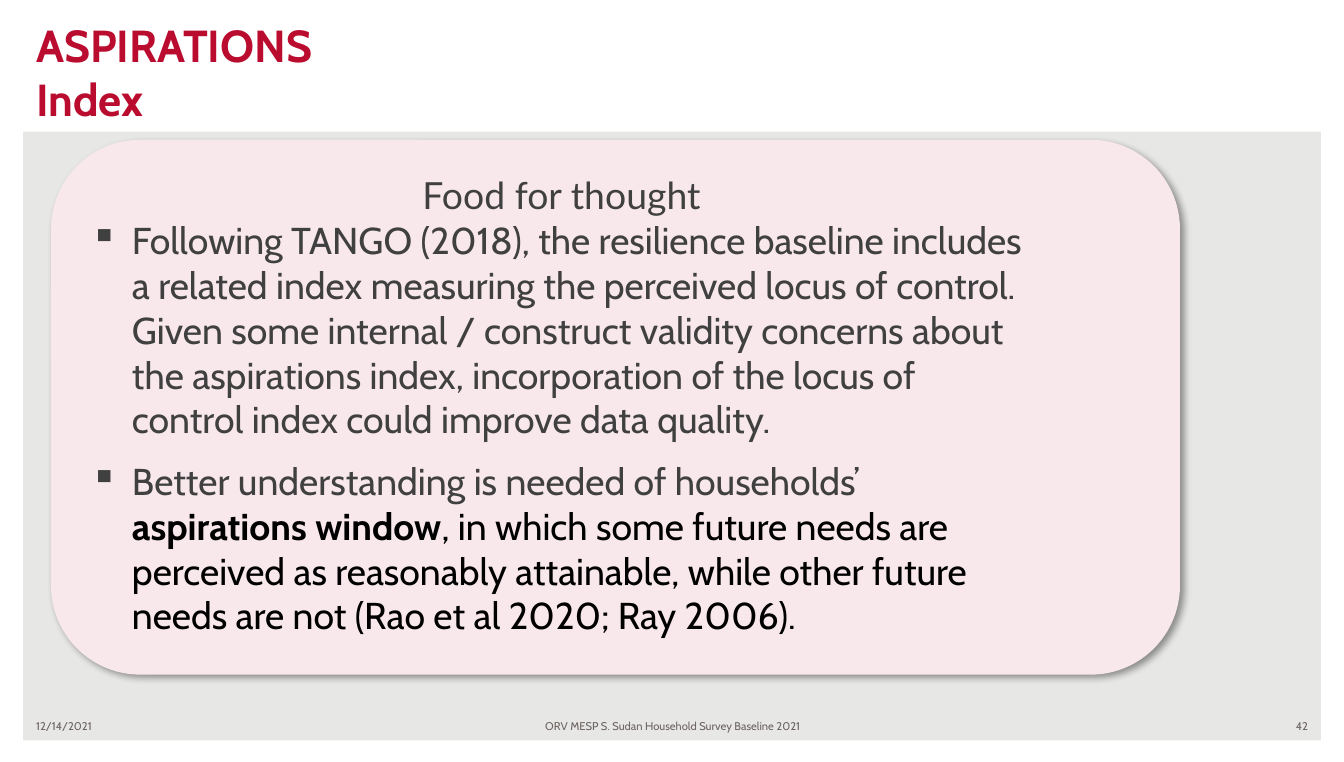
from lxml import etree
from pptx import Presentation
from pptx.dml.color import RGBColor
from pptx.enum.shapes import MSO_SHAPE as Shape
from pptx.enum.text import MSO_ANCHOR as Anchor, PP_ALIGN as Align
from pptx.oxml import parse_xml
from pptx.oxml.ns import nsdecls, qn
from pptx.util import Inches, Pt

WHITE = RGBColor(0xFF, 0xFF, 0xFF)
BLACK = RGBColor(0x00, 0x00, 0x00)
GRAY = RGBColor(0xE7, 0xE7, 0xE5)
FOOTER_GRAY = RGBColor(0x6C, 0x64, 0x63)
TEXT_GRAY = RGBColor(0x40, 0x40, 0x40)
RED = RGBColor(0xBA, 0x0C, 0x2F)
PINK = RGBColor(0xF8, 0xE8, 0xEC)


def style_font(font, name, size, color, bold=False):
    font.name = name
    font.size = Pt(size)
    font.color.rgb = color
    font.bold = bold


def add_text(left, top, width, height, text, anchor, align):
    box = slide.shapes.add_textbox(Inches(left), Inches(top), Inches(width), Inches(height))
    box.text_frame.word_wrap = True
    box.text_frame.vertical_anchor = anchor
    box.text_frame.text = text
    box.text_frame.paragraphs[0].alignment = align
    return box


presentation = Presentation()
presentation.slide_width = Inches(10)
presentation.slide_height = Inches(5.67)
slide = presentation.slides.add_slide(presentation.slide_layouts[6])
slide.background.fill.solid()
slide.background.fill.fore_color.rgb = GRAY

frame = slide.shapes.add_shape(Shape.FRAME, 0, 0, Inches(10), Inches(5.68))
frame.adjustments[0] = 0.03
frame.shadow.inherit = False
frame.fill.solid()
frame.fill.fore_color.rgb = WHITE
frame.line.fill.background()

footers = [
    (0.17, 2.33, "12/14/2021", Align.LEFT),
    (3.42, 3.17, "ORV MESP S. Sudan Household Survey Baseline 2021", Align.CENTER),
    (7.5, 2.33, "42", Align.RIGHT),
]
for left, width, text, align in footers:
    footer = add_text(left, 5.3, width, 0.2, text, Anchor.MIDDLE, align)
    style_font(footer.text_frame.paragraphs[0].runs[0].font, "Cabin", 6, FOOTER_GRAY)

title = add_text(0.17, 0.07, 9.67, 0.91, "ASPIRATIONS\vIndex", Anchor.BOTTOM, Align.LEFT)
title.fill.solid()
title.fill.fore_color.rgb = WHITE
for run in title.text_frame.paragraphs[0].runs:
    style_font(run.font, "Cabin", 24, RED, True)

card = slide.shapes.add_shape(
    Shape.ROUNDED_RECTANGLE, Inches(0.38), Inches(1.04), Inches(8.4), Inches(3.98)
)
card.fill.solid()
card.fill.fore_color.rgb = PINK
card.line.fill.background()
card.shadow.inherit = False
effects = card._element.spPr.find(qn("a:effectLst"))
effects.append(parse_xml(
    f'<a:outerShdw {nsdecls("a")} blurRad="{Pt(4)}" dist="{Pt(3)}" dir="2700000" '
    'algn="tl" rotWithShape="0"><a:srgbClr val="000000"><a:alpha val="40000"/>'
    '</a:srgbClr></a:outerShdw>'
))

text_frame = card.text_frame
text_frame.word_wrap = True
text_frame.vertical_anchor = Anchor.TOP
text_frame.margin_right = Inches(0.9)
text_frame.text = "Food for thought"
heading = text_frame.paragraphs[0]
heading.alignment = Align.CENTER
style_font(heading.runs[0].font, "Lato", 20, TEXT_GRAY)

bullets = [
    [(
        "Following TANGO (2018), the resilience baseline includes a related index "
        "measuring the perceived locus of control. Given some internal / construct "
        "validity concerns about the aspirations index, incorporation of the locus "
        "of control index could improve data quality.", TEXT_GRAY, False
    )],
    [
        ("Better understanding is needed of households’ ", TEXT_GRAY, False),
        ("aspirations window", BLACK, True),
        (
            ", in which some future needs are perceived as reasonably attainable, "
            "while other future needs are not (Rao et al 2020; Ray 2006).", BLACK, False
        ),
    ],
]
for pieces in bullets:
    paragraph = text_frame.add_paragraph()
    paragraph.alignment = Align.LEFT
    paragraph.space_after = Pt(9)
    properties = paragraph._p.get_or_add_pPr()
    properties.set("marL", str(Inches(0.31)))
    properties.set("indent", str(-Inches(0.31)))
    etree.SubElement(properties, qn("a:buChar")).set("char", "▪")
    for text, color, bold in pieces:
        run = paragraph.add_run()
        run.text = text
        style_font(run.font, "Cabin", 20, color, bold)

presentation.save("out.pptx")
